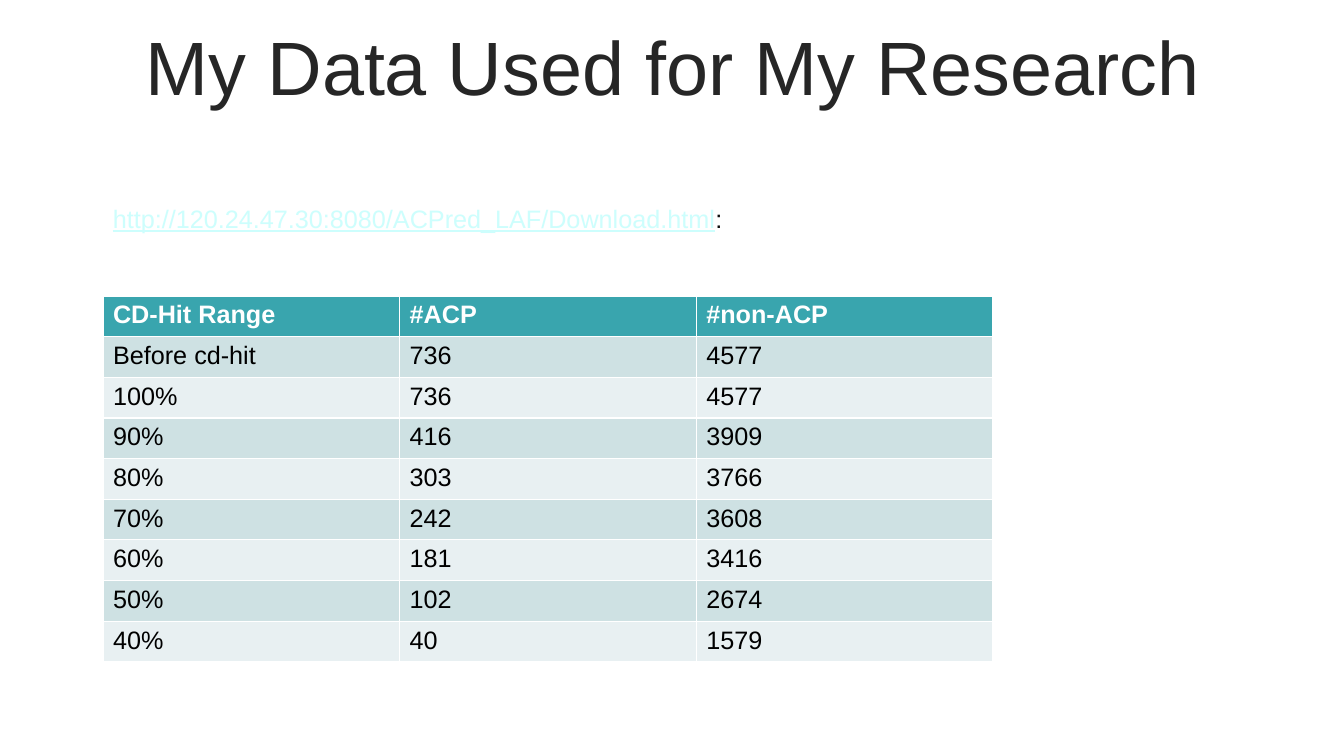
import pptx
import pptx.dml.color
import pptx.enum.text
import pptx.util

PX = 12192000 / 1344  # EMU per px on a 1344 px wide page
FONT = "Arial"
TEAL, PALE_TEAL, PALE_GREY = "39A5AE", "CEE1E3", "E8F0F2"

ROWS = [
    ("CD-Hit Range", "#ACP", "#non-ACP"),
    ("Before cd-hit", "736", "4577"),
    ("100%", "736", "4577"),
    ("90%", "416", "3909"),
    ("80%", "303", "3766"),
    ("70%", "242", "3608"),
    ("60%", "181", "3416"),
    ("50%", "102", "2674"),
    ("40%", "40", "1579"),
]


def px(length):
    return pptx.util.Emu(round(length * PX))


def color(value):
    return pptx.dml.color.RGBColor.from_string(value)


def set_font(font, size, value, bold=False):
    font.name = FONT
    font.size = pptx.util.Pt(size)
    font.bold = bold
    font.color.rgb = color(value)


def place_title(page, text, left, top, width, height):
    title = page.shapes.title
    title.left, title.top, title.width, title.height = map(px, (left, top, width, height))
    frame = title.text_frame
    frame.text = text
    frame.auto_size = pptx.enum.text.MSO_AUTO_SIZE.NONE
    frame.vertical_anchor = pptx.enum.text.MSO_ANCHOR.MIDDLE
    para = frame.paragraphs[0]
    para.alignment = pptx.enum.text.PP_ALIGN.CENTER
    para.line_spacing = 0.9
    para.space_before = pptx.util.Pt(10)
    set_font(para.font, 54, "262626")


def add_source_address(page, address, left, top, width, height):
    box = page.shapes.add_textbox(*map(px, (left, top, width, height)))
    box.text_frame.word_wrap = True
    para = box.text_frame.paragraphs[0]
    for text, value, underline in ((address, "CDFEFD", True), (":", "0D0D0D", False)):
        span = para.add_run()
        span.text = text
        set_font(span.font, 18, value)
        span.font.underline = underline


def add_data_table(page, rows, left, top, width, height):
    # The default table style supplies the white borders
    table = page.shapes.add_table(
        len(rows), len(rows[0]), *map(px, (left, top, width, height))
    ).table
    for row_index, row in enumerate(rows):
        header = row_index == 0
        fill = TEAL if header else (PALE_GREY, PALE_TEAL)[row_index % 2]
        for column_index, text in enumerate(row):
            cell = table.cell(row_index, column_index)
            cell.text = text
            cell.fill.solid()
            cell.fill.fore_color.rgb = color(fill)
            set_font(cell.text_frame.paragraphs[0].font, 18,
                     "FFFFFF" if header else "000000", header)


def main():
    deck = pptx.Presentation()
    deck.slide_width, deck.slide_height = px(1344), px(756)
    page = deck.slides.add_slide(deck.slide_layouts[5])  # title only

    # Heading
    place_title(page, "My Data Used for My Research", 35, 31, 1276, 80)

    # Data source and its counts
    add_source_address(page, "http://120.24.47.30:8080/ACPred_LAF/Download.html",
                       103, 198, 1081, 194)
    add_data_table(page, ROWS, 103, 296, 890, 366)

    deck.save("out.pptx")


if __name__ == "__main__":
    main()
